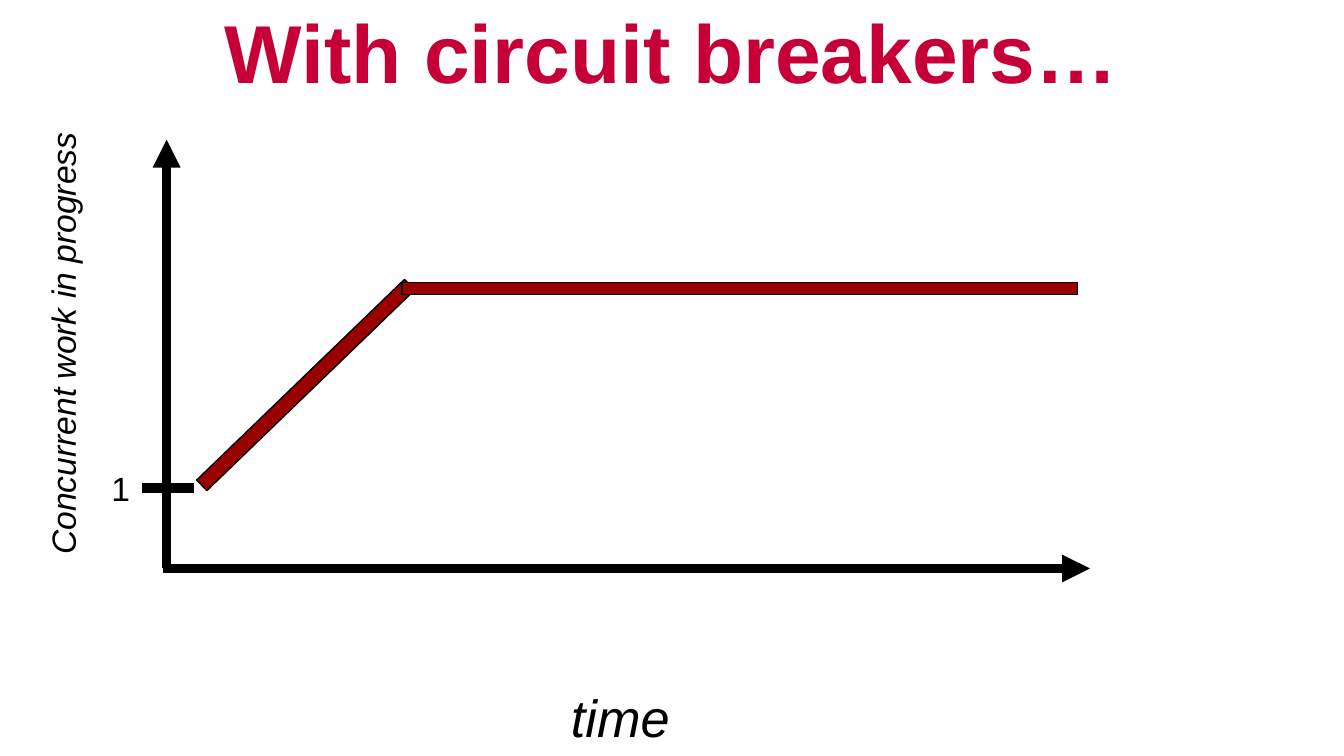
from dataclasses import dataclass

from lxml.etree import SubElement
from pptx import Presentation
from pptx.dml.color import RGBColor
from pptx.enum.shapes import MSO_CONNECTOR, MSO_SHAPE
from pptx.enum.text import MSO_ANCHOR, MSO_AUTO_SIZE, PP_ALIGN
from pptx.oxml.ns import qn
from pptx.slide import Slide
from pptx.util import Emu, Pt

SCALE = 9144  # EMU in one px, at 100 px to the inch


@dataclass(frozen=True)
class Theme:
    font: str = "Arial"
    title: RGBColor = RGBColor(0xC6, 0x00, 0x36)
    ink: RGBColor = RGBColor(0x00, 0x00, 0x00)
    curve: RGBColor = RGBColor(0x99, 0x00, 0x00)
    head: int = 44
    large: int = 28
    small: int = 18
    axis: float = 5
    edge: float = 0.75


THEME = Theme()


@dataclass(frozen=True)
class Box:
    left: int
    top: int
    width: int
    height: int
    turn: int = 0

    def emu(self) -> list[Emu]:
        return [px(n) for n in (self.left, self.top, self.width, self.height)]


@dataclass(frozen=True)
class Label:
    text: str
    box: Box
    size: int
    slant: bool = False


@dataclass(frozen=True)
class Line:
    start: tuple[int, int]
    end: tuple[int, int]
    arrow: bool = False


WIDTH = 1000
ZERO_Y = 423
AXIS_X = 124
TICK_Y = 363

TITLE = Label("With circuit breakers…", Box(0, 0, WIDTH, 75), THEME.head)
LINES = [
    Line((121, ZERO_Y), (811, ZERO_Y), arrow=True),
    Line((AXIS_X, ZERO_Y), (AXIS_X, 104), arrow=True),
    Line((106, TICK_Y), (144, TICK_Y)),
]
LABELS = [
    Label("time", Box(415, 505, 102, 57), THEME.large, slant=True),
    Label("Concurrent work in progress", Box(-124, 232, 341, 40, 270),
          THEME.small, slant=True),
    Label("1", Box(73, 343, 30, 40), THEME.small),
]
BARS = [Box(120, 281, 215, 11, 316), Box(299, 210, 503, 9)]


def px(count: int) -> Emu:
    return Emu(count * SCALE)


def add_label(slide: Slide, label: Label, title: bool = False) -> None:
    shape = slide.shapes.add_textbox(*label.box.emu())
    shape.rotation = label.box.turn
    frame = shape.text_frame
    frame.text = label.text
    frame.word_wrap = True
    para = frame.paragraphs[0]
    font = para.runs[0].font
    font.name = THEME.font
    font.size = Pt(label.size)
    font.italic = label.slant
    font.bold = title
    font.color.rgb = THEME.title if title else THEME.ink
    if title:
        frame.vertical_anchor = MSO_ANCHOR.MIDDLE
        para.alignment = PP_ALIGN.CENTER
    else:
        frame.auto_size = MSO_AUTO_SIZE.SHAPE_TO_FIT_TEXT


def add_line(slide: Slide, line: Line) -> None:
    points = [px(n) for n in line.start + line.end]
    shape = slide.shapes.add_connector(MSO_CONNECTOR.STRAIGHT, *points)
    shape.line.color.rgb = THEME.ink
    shape.line.width = Pt(THEME.axis)
    if line.arrow:
        outline = shape._element.spPr.find(qn("a:ln"))
        SubElement(outline, qn("a:tailEnd"), type="triangle")
    SubElement(shape._element.spPr, qn("a:effectLst"))


def add_bar(slide: Slide, box: Box) -> None:
    shape = slide.shapes.add_shape(MSO_SHAPE.RECTANGLE, *box.emu())
    shape.rotation = box.turn
    shape.shadow.inherit = False
    shape.fill.solid()
    shape.fill.fore_color.rgb = THEME.curve
    shape.line.color.rgb = THEME.ink
    shape.line.width = Pt(THEME.edge)


def main() -> None:
    deck = Presentation()
    deck.slide_width = px(WIDTH)
    deck.slide_height = Emu(deck.slide_width * 9 // 16)
    slide = deck.slides.add_slide(deck.slide_layouts[6])
    add_label(slide, TITLE, title=True)
    for line in LINES:
        add_line(slide, line)
    for label in LABELS:
        add_label(slide, label)
    for bar in BARS:
        add_bar(slide, bar)
    deck.save("out.pptx")


if __name__ == "__main__":
    main()
